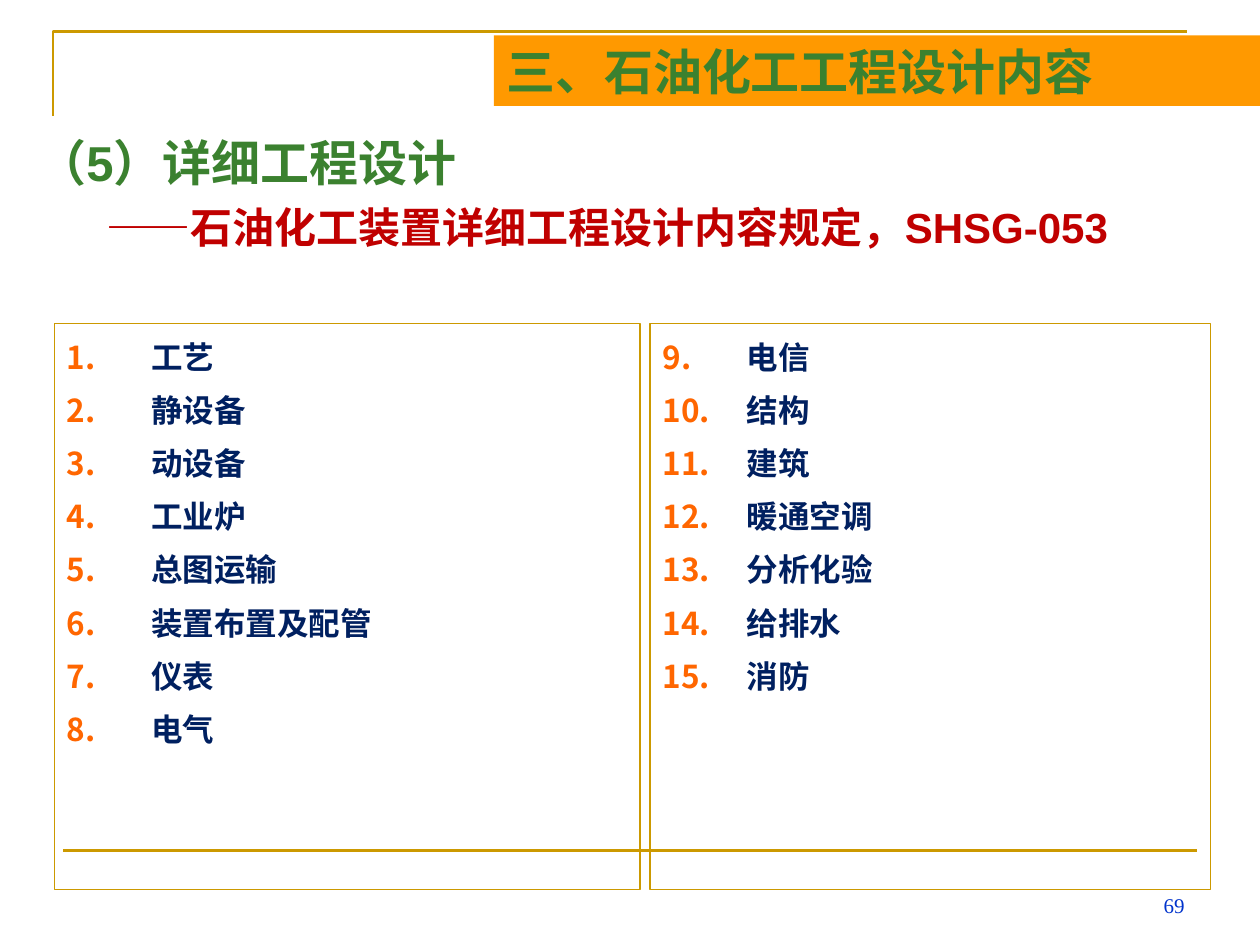
from dataclasses import dataclass

import pptx
import pptx.dml.color
import pptx.enum.shapes
import pptx.enum.text
import pptx.oxml
import pptx.oxml.ns
import pptx.util
from pptx.enum.text import MSO_ANCHOR, PP_ALIGN

WIDTH, HEIGHT = pptx.util.Inches(10), pptx.util.Inches(7.5)
COLOURS = {
    "gold": "CC9900", "orange": "FF9900", "number": "FF6600", "green": "3B812F",
    "red": "C00000", "navy": "002060", "blue": "0033CC",
}
PANEL_TOP, PANEL_HEIGHT = 0.3427, 0.5987
LIST_INDENT = pptx.util.Inches(0.67)


@dataclass
class Area:
    """A rectangle in shares of the slide's size."""
    left: float
    top: float
    width: float
    height: float

    def place(self) -> tuple[int, int, int, int]:
        return (round(self.left * WIDTH), round(self.top * HEIGHT),
                round(self.width * WIDTH), round(self.height * HEIGHT))


@dataclass
class Style:
    size: float
    colour: str
    font: str = "Arial"
    bold: bool = True


@dataclass
class Panel:
    left: float
    width: float
    first_number: int
    items: list[str]


PANELS = [
    Panel(0.043, 0.465, 1, ["工艺", "静设备", "动设备", "工业炉", "总图运输",
                            "装置布置及配管", "仪表", "电气"]),
    Panel(0.516, 0.445, 9, ["电信", "结构", "建筑", "暖通空调", "分析化验",
                            "给排水", "消防"]),
]


def colour(name: str) -> pptx.dml.color.RGBColor:
    return pptx.dml.color.RGBColor.from_string(COLOURS[name])


def add_element(parent, tag: str, **attributes: str):
    element = pptx.oxml.parse_xml(f"<{tag} {pptx.oxml.ns.nsdecls('a')}/>")
    for name, value in attributes.items():
        element.set(name, value)
    parent.append(element)
    return element


def write(paragraph, text: str, style: Style, align=PP_ALIGN.LEFT) -> None:
    paragraph.alignment = align
    paragraph.add_run().text = text
    font = paragraph.font
    font.size, font.name, font.bold = pptx.util.Pt(style.size), style.font, style.bold
    font.color.rgb = colour(style.colour)


def next_paragraph(frame, index: int):
    return frame.paragraphs[0] if index == 0 else frame.add_paragraph()


def add_text_box(page, area: Area, anchor=MSO_ANCHOR.TOP):
    frame = page.shapes.add_textbox(*area.place()).text_frame
    frame.word_wrap = True
    frame.vertical_anchor = anchor
    return frame


def add_rectangle(page, area: Area, fill: str = "", line: str = ""):
    box = page.shapes.add_shape(pptx.enum.shapes.MSO_SHAPE.RECTANGLE, *area.place())
    box.shadow.inherit = False
    if fill:
        box.fill.solid()
        box.fill.fore_color.rgb = colour(fill)
    else:
        box.fill.background()
    if line:
        box.line.color.rgb = colour(line)
        box.line.width = pptx.util.Pt(0.75)
    else:
        box.line.fill.background()
    box.text_frame.word_wrap = True
    return box


def add_frame_lines(page) -> None:
    """Draw the corner at the top left and the rule above the footer."""
    left, top, right, bottom = (pptx.util.Inches(v) for v in (0.42, 0.25, 9.42, 0.92))
    builder = page.shapes.build_freeform(left, bottom)
    builder.add_line_segments([(left, top), (right, top)], close=False)
    corner = builder.convert_to_shape()
    corner.shadow.inherit = False
    corner.fill.background()

    rule = page.shapes.add_connector(
        pptx.enum.shapes.MSO_CONNECTOR.STRAIGHT,
        round(0.05 * WIDTH), round(0.9 * HEIGHT), round(0.95 * WIDTH), round(0.9 * HEIGHT))
    add_element(rule._element.spPr, "a:effectLst")
    for outline in (corner.line, rule.line):
        outline.color.rgb = colour("gold")
        outline.width = pptx.util.Pt(1.5)


def add_panel(page, panel: Panel) -> None:
    area = Area(panel.left, PANEL_TOP, panel.width, PANEL_HEIGHT)
    frame = add_rectangle(page, area, line="gold").text_frame
    frame.vertical_anchor = MSO_ANCHOR.TOP
    for index, item in enumerate(panel.items):
        paragraph = next_paragraph(frame, index)
        paragraph.line_spacing = 1.2
        if index:
            paragraph.space_before = pptx.util.Pt(4.5)
        properties = paragraph._p.get_or_add_pPr()
        properties.set("marL", str(LIST_INDENT))
        properties.set("indent", str(-LIST_INDENT))
        add_element(add_element(properties, "a:buClr"), "a:srgbClr", val=COLOURS["number"])
        add_element(properties, "a:buAutoNum", type="arabicPeriod",
                    startAt=str(panel.first_number))
        write(paragraph, item, Style(18, "navy"))


def add_heading(page) -> None:
    frame = add_text_box(page, Area(0.02, 0.1213, 0.953, 0.2413))
    lines = [
        ("（5）详细工程设计", Style(28, "green"), 0),
        ("——石油化工装置详细工程设计内容规定，SHSG-053", Style(24, "red"), 0.55),
    ]
    for index, (text, style, indent) in enumerate(lines):
        paragraph = next_paragraph(frame, index)
        paragraph.line_spacing = 1.2
        paragraph._p.get_or_add_pPr().set("marL", str(pptx.util.Inches(indent)))
        write(paragraph, text, style)


def main() -> None:
    deck = pptx.Presentation()
    deck.slide_width, deck.slide_height = WIDTH, HEIGHT
    page = deck.slides.add_slide(deck.slide_layouts[6])

    add_frame_lines(page)
    number = add_text_box(page, Area(0.717, 0.9107, 0.233, 0.0667), MSO_ANCHOR.BOTTOM)
    write(number.paragraphs[0], "69", Style(12, "blue", "Times New Roman", False),
          PP_ALIGN.RIGHT)
    add_heading(page)
    for panel in PANELS:
        add_panel(page, panel)
    banner = add_rectangle(page, Area(0.392, 0.0373, 0.608, 0.0747), fill="orange")
    banner.text_frame.vertical_anchor = MSO_ANCHOR.MIDDLE
    write(banner.text_frame.paragraphs[0], "三、石油化工工程设计内容",
          Style(28, "green", "Times New Roman"))

    deck.save("out.pptx")


if __name__ == "__main__":
    main()
